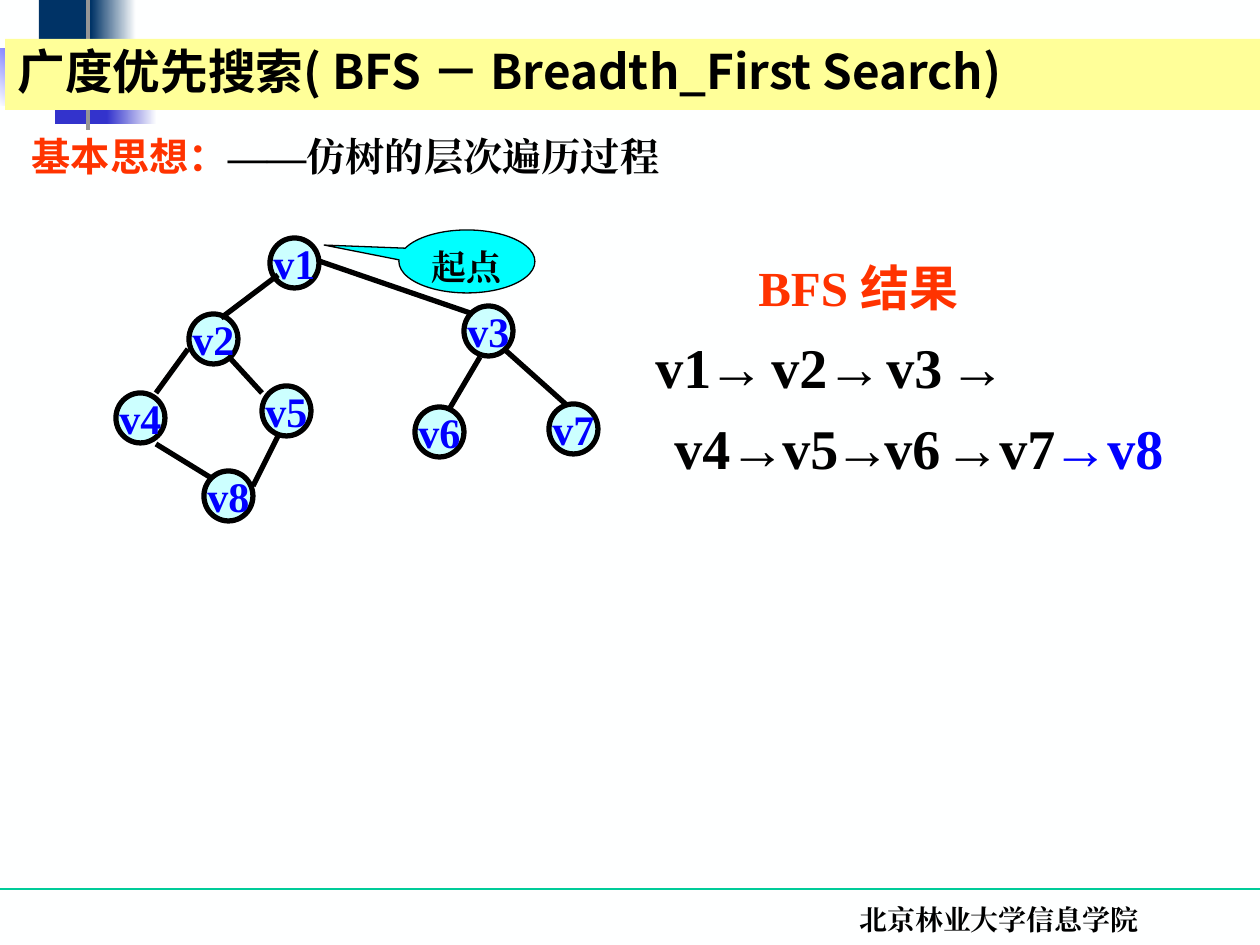
"""Build a slide on breadth-first search with a sample graph and its visiting order."""
from lxml.etree import SubElement
from pptx import Presentation
from pptx.dml.color import RGBColor
from pptx.enum.shapes import MSO_CONNECTOR, MSO_SHAPE
from pptx.enum.text import MSO_ANCHOR, MSO_AUTO_SIZE, PP_ALIGN
from pptx.oxml.ns import qn
from pptx.util import Pt

PX = 914400 / 126
SANS, SERIF = "Noto Sans CJK SC", "Times New Roman"
COLORS = {
    "paper": "FEFFFF", "navy": "003366", "indigo": "3333CC", "blue": "0000FF",
    "gray": "969696", "green": "00CC99", "yellow": "FFFF99", "red": "FF3300",
    "black": "000000", "node": "CCFFFF", "cyan": "00FFFF",
}

TITLE = "广度优先搜索( BFS － Breadth_First Search)"
IDEA = [("基本思想：", "red", SANS), ("——仿树的层次遍历过程", "black", SERIF)]
RESULT = [("BFS ", "red", SERIF), ("结果", "red", SANS)]
FOOTER = "北京林业大学信息学院"
START = "起点"

ORNAMENTS = [
    ((39, 0, 60, 66), ["navy"], 0),
    ((91, 0, 45, 66), ["navy", "paper"], 0),
    ((55, 58, 58, 66), ["indigo"], 0),
    ((107, 58, 50, 66), ["indigo", "paper"], 0),
    ((-1, 48, 77, 58), ["paper", "blue"], 45),
    ((86, -15, 4, 145), ["gray"], 0),
]
GRAPH_LAYERS = [
    (
        {"v1": (270, 238), "v2": (189, 314), "v3": (464, 306), "v8": (204, 471)},
        [(319, 261, 473, 314), (278, 275, 221, 318), (229, 357, 262, 393),
         (504, 349, 570, 408), (480, 357, 447, 413)],
    ),
    (
        {"v7": (549, 404), "v6": (415, 407), "v4": (116, 393), "v5": (262, 386)},
        [(188, 349, 156, 393), (156, 444, 213, 479), (278, 436, 253, 486)],
    ),
]
VISITS = [
    (326, "black", [("v1", 643), ("→", 696), ("v2", 759), ("→", 814), ("v3", 874), ("→", 937)]),
    (407, "black", [("v4", 662), ("→", 717), ("v5", 770), ("→", 822), ("v6", 872), ("→", 932),
                    ("v7", 987)]),
    (407, "blue", [("→", 1040), ("v8", 1095)]),
]


def px(*lengths):
    return [round(length * PX) for length in lengths]


def color(name):
    return RGBColor.from_string(COLORS[name])


def write(shape, runs, size, align=PP_ALIGN.LEFT, anchor=MSO_ANCHOR.TOP, wrap=True,
          spacing=None, hanging=0):
    frame = shape.text_frame
    frame.auto_size = MSO_AUTO_SIZE.NONE
    frame.word_wrap = wrap
    frame.vertical_anchor = anchor
    paragraph = frame.paragraphs[0]
    paragraph.alignment = align
    paragraph.space_before = Pt(0)
    if spacing:
        paragraph.line_spacing = spacing
    if hanging:
        indent, = px(hanging)
        properties = paragraph._p.get_or_add_pPr()
        properties.set("marL", str(indent))
        properties.set("indent", str(-indent))
        SubElement(properties, qn("a:buNone"))
    for text, color_name, font_name in runs:
        run = paragraph.add_run()
        run.text = text
        run.font.size = Pt(size)
        run.font.bold = True
        run.font.color.rgb = color(color_name)
        run.font.name = font_name
        SubElement(run.font._element, qn("a:ea")).set("typeface", font_name)


def add_figure(slide, kind, box, fills, line=None, angle=0):
    shape = slide.shapes.add_shape(kind, *px(*box))
    shape.shadow.inherit = False
    if len(fills) == 1:
        shape.fill.solid()
        shape.fill.fore_color.rgb = color(fills[0])
    else:
        shape.fill.gradient()
        shape.fill.gradient_angle = angle
        for stop, name in zip(shape.fill.gradient_stops, fills):
            stop.color.rgb = color(name)
    if line:
        shape.line.color.rgb = color("black")
        shape.line.width = Pt(line)
    else:
        shape.line.fill.background()
    return shape


def add_line(slide, ends, color_name, width):
    connector = slide.shapes.add_connector(MSO_CONNECTOR.STRAIGHT, *px(*ends))
    connector.line.color.rgb = color(color_name)
    connector.line.width = Pt(width)
    SubElement(connector._element.spPr, qn("a:effectLst"))


def place(shape, box):
    shape.left, shape.top, shape.width, shape.height = px(*box)
    return shape


def add_label(slide, box, runs, size, **options):
    write(slide.shapes.add_textbox(*px(*box)), runs, size, **options)


def add_headings(slide):
    title, body = slide.placeholders
    for placeholder in (body, title):
        slide.shapes.element.append(placeholder.element)
    write(place(body, (19, 135, 1176, 63)), IDEA, 22.4, align=PP_ALIGN.JUSTIFY,
          spacing=0.8, hanging=39)
    place(title, (5, 39, 1255, 71))
    title.fill.solid()
    title.fill.fore_color.rgb = color("yellow")
    write(title, [(TITLE, "black", SANS)], 27.2, anchor=MSO_ANCHOR.MIDDLE, spacing=0.9)


def add_graph(slide):
    for nodes, edges in GRAPH_LAYERS:
        for name, (left, top) in nodes.items():
            node = add_figure(slide, MSO_SHAPE.OVAL, (left, top, 49, 50), ["node"], line=3)
            write(node, [(name, "blue", SERIF)], 24, align=PP_ALIGN.CENTER,
                  anchor=MSO_ANCHOR.MIDDLE, wrap=False)
        for edge in edges:
            add_line(slide, edge, "black", 3)
    callout = add_figure(slide, MSO_SHAPE.OVAL_CALLOUT, (399, 230, 136, 63), ["cyan"], line=0.75)
    callout.adjustments[0], callout.adjustments[1] = -1.05, -0.26
    write(callout, [(START, "black", SERIF)], 20, align=PP_ALIGN.CENTER)


def main():
    presentation = Presentation()
    presentation.slide_width, presentation.slide_height = px(1260, 945)
    slide = presentation.slides.add_slide(presentation.slide_layouts[1])
    slide.background.fill.solid()
    slide.background.fill.fore_color.rgb = color("paper")
    add_line(slide, (0, 889, 1260, 889), "green", 0.75)
    for box, fills, angle in ORNAMENTS:
        add_figure(slide, MSO_SHAPE.RECTANGLE, box, fills, angle=angle)
    add_label(slide, (738, 896, 522, 63), [(FOOTER, "black", SERIF)], 16, align=PP_ALIGN.CENTER)
    add_headings(slide)
    add_graph(slide)
    add_label(slide, (746, 251, 237, 72), RESULT, 28, wrap=False)
    for top, color_name, steps in VISITS:
        for text, left in steps:
            add_label(slide, (left, top, 81, 81), [(text, color_name, SERIF)], 32, wrap=False)
    presentation.save("out.pptx")


if __name__ == "__main__":
    main()
